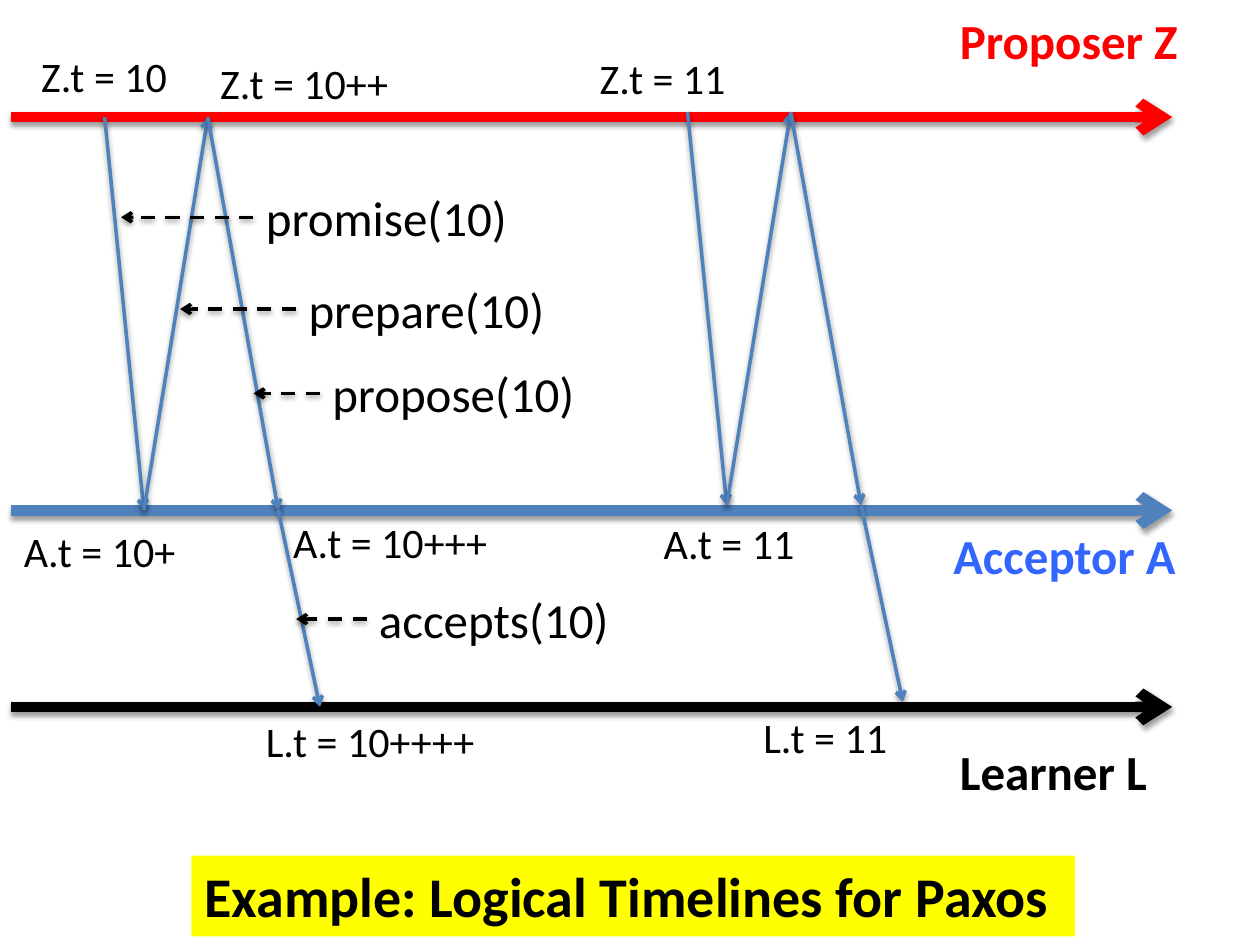
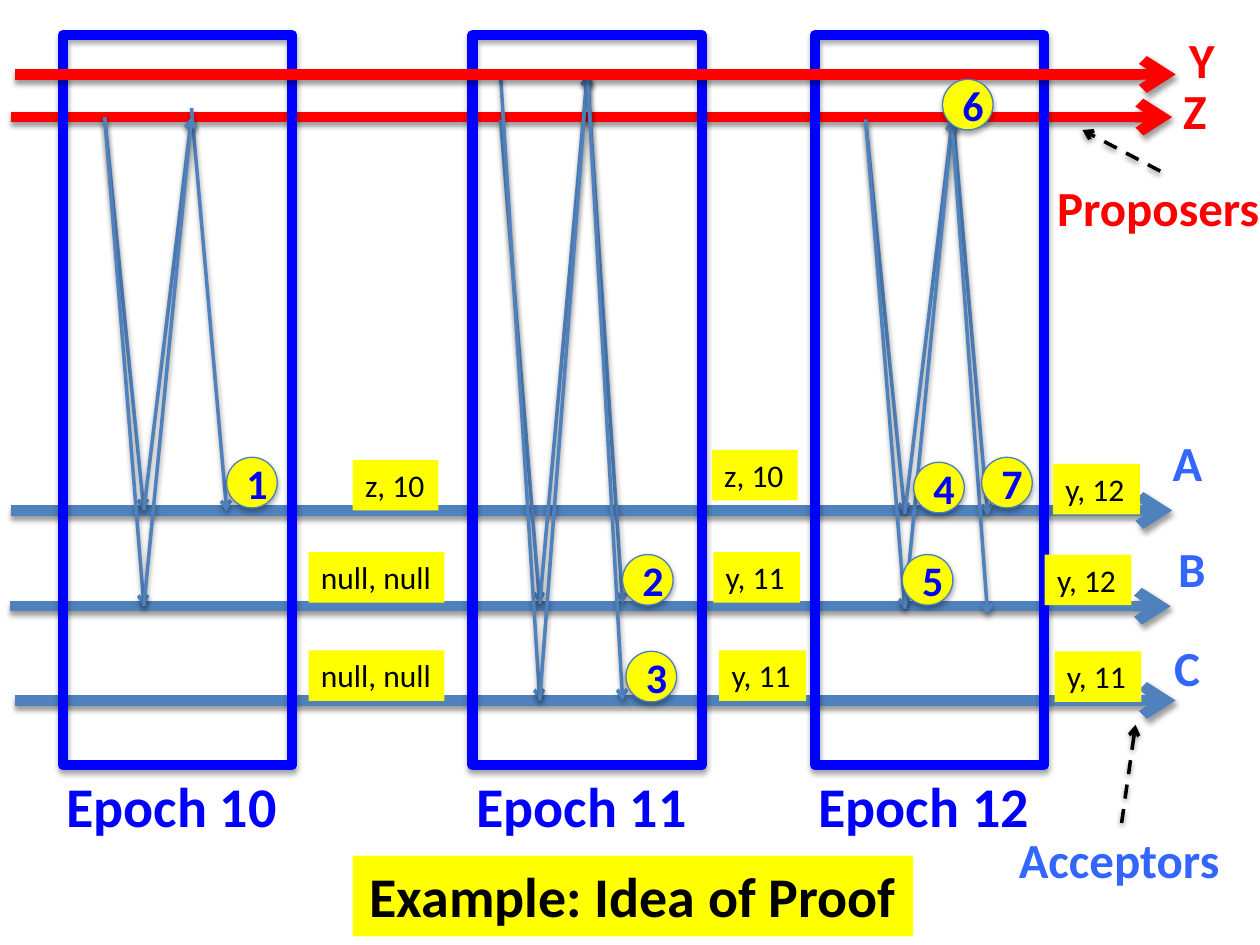
"""Two slides on Paxos: logical timelines and the idea of its proof."""
from dataclasses import dataclass
from itertools import pairwise

from lxml import etree
from pptx import Presentation
from pptx import util as u
from pptx.dml.color import RGBColor
from pptx.enum import dml, shapes, text
from pptx.oxml.ns import qn

FONT = "Calibri"
COLORS = {
    "red": "FF0000", "steel": "4F81BD", "sky": "3366FF", "blue": "0000FF",
    "black": "000000", "yellow": "FFFF00", "rim": "4B7EBC",
}
BOX_HEIGHT = {18: 1.02, 24: 1.27, 28: 1.45, 32: 1.63}  # cm, by text size

# Heights of the timelines, in cm
Y, Z, A, B, C, L = 1.5, 2.36, 10.29, 12.22, 14.12, 14.25


@dataclass
class Label:
    """A one-line text box; left, top and width in cm."""
    words: str
    left: float
    top: float
    width: float
    size: int = 24
    color: str = "black"
    bold: bool = False
    fill: str | None = None
    centred: bool = False


@dataclass
class Arrow:
    """A straight arrow between two points in cm."""
    x1: float
    y1: float
    x2: float
    y2: float
    color: str = "steel"
    weight: float = 2
    dashed: bool = False


@dataclass
class Epoch:
    """A framed epoch; each round gives the heights of its message ends."""
    number: int
    frame_left: float
    shift: float
    rounds: list[tuple[float, ...]]


def rgb(name: str) -> RGBColor:
    """Look up a named colour."""
    return RGBColor.from_string(COLORS[name])


def add_shadow(sp, dist: int, opacity: int) -> None:
    """Give a shape or connector a soft shadow straight below it."""
    props = sp.element.spPr
    effects = props.find(qn("a:effectLst"))
    if effects is None:
        effects = etree.SubElement(props, qn("a:effectLst"))
    shadow = etree.SubElement(effects, qn("a:outerShdw"), blurRad="40000",
                              dist=str(dist), dir="5400000", rotWithShape="0")
    tint = etree.SubElement(shadow, qn("a:srgbClr"), val=COLORS["black"])
    etree.SubElement(tint, qn("a:alpha"), val=str(opacity * 1000))


def draw_arrow(slide, arrow: Arrow) -> None:
    """Draw an arrow with an open head at its end."""
    ends = [u.Cm(v) for v in (arrow.x1, arrow.y1, arrow.x2, arrow.y2)]
    sp = slide.shapes.add_connector(shapes.MSO_CONNECTOR.STRAIGHT, *ends)
    sp.line.color.rgb = rgb(arrow.color)
    sp.line.width = u.Pt(arrow.weight)
    if arrow.dashed:
        sp.line.dash_style = dml.MSO_LINE.DASH
    etree.SubElement(sp.element.spPr.find(qn("a:ln")), qn("a:tailEnd"), type="arrow")
    add_shadow(sp, 20000, 38)


def draw_timeline(slide, y: float, color: str, left: float = 0.23) -> None:
    """Draw a thick horizontal time axis."""
    draw_arrow(slide, Arrow(left, y, left + 23.4, y, color, 6))


def draw_pointer(slide, x1: float, y1: float, x2: float, y2: float) -> None:
    """Draw a dashed black pointer."""
    draw_arrow(slide, Arrow(x1, y1, x2, y2, "black", dashed=True))


def set_text(p, words: str, size: int, color: str, bold: bool) -> None:
    """Fill a paragraph and set its font."""
    p.text = words
    p.font.name, p.font.size, p.font.bold = FONT, u.Pt(size), bold
    p.font.color.rgb = rgb(color)


def draw_label(slide, label: Label) -> None:
    """Draw a one-line label, on a filled box if it has a fill."""
    sp = slide.shapes.add_textbox(u.Cm(label.left), u.Cm(label.top), u.Cm(label.width),
                                  u.Cm(BOX_HEIGHT[label.size]))
    if label.fill:
        sp.fill.solid()
        sp.fill.fore_color.rgb = rgb(label.fill)
    tf = sp.text_frame
    tf.word_wrap = False
    tf.auto_size = text.MSO_AUTO_SIZE.SHAPE_TO_FIT_TEXT
    p = tf.paragraphs[0]
    set_text(p, label.words, label.size, label.color, label.bold)
    if label.centred:
        p.alignment = text.PP_ALIGN.CENTER


def draw_name(slide, words: str, left: float, top: float, width: float, color: str) -> None:
    """Draw the bold name of a role or process."""
    draw_label(slide, Label(words, left, top, width, 28, color, True))


def draw_title(slide, words: str, left: float, width: float) -> None:
    """Draw the yellow title band at the foot of a slide."""
    draw_label(slide, Label(words, left, 17.25, width, 32, bold=True,
                            fill="yellow", centred=True))


def draw_shape(slide, kind, left: float, top: float, width: float, height: float,
               line: str, weight: float):
    """Add an unfilled preset shape with an outline and a shadow."""
    sp = slide.shapes.add_shape(kind, u.Cm(left), u.Cm(top), u.Cm(width), u.Cm(height))
    sp.fill.background()
    sp.line.color.rgb = rgb(line)
    sp.line.width = u.Pt(weight)
    sp.shadow.inherit = False
    add_shadow(sp, 23000, 35)
    return sp


def draw_step(slide, number: int, left: float, top: float) -> None:
    """Draw a numbered yellow disc."""
    sp = draw_shape(slide, shapes.MSO_SHAPE.OVAL, left, top, 1.02, 1.02, "rim", 0.75)
    sp.fill.solid()
    sp.fill.fore_color.rgb = rgb("yellow")
    sp.text_frame.vertical_anchor = text.MSO_ANCHOR.MIDDLE
    p = sp.text_frame.paragraphs[0]
    set_text(p, str(number), 24, "blue", True)
    p.alignment = text.PP_ALIGN.CENTER


def draw_messages(slide, epoch: Epoch) -> None:
    """Draw each round: request, reply and, where there is one, proposal."""
    ask, reach, back, end = (x + epoch.shift for x in (2.11, 2.9, 3.86, 4.57))
    spans = [(ask, reach), (reach, back), (back, end)]
    for heights in epoch.rounds:
        legs = zip(heights[::2], heights[1::2])
        for (x1, x2), (y1, y2) in zip(spans, legs):
            draw_arrow(slide, Arrow(x1, y1, x2, y2))


def build_timelines(slide) -> None:
    """Build the slide with logical timelines."""
    for y, color in [(Z, "red"), (A, "steel"), (L, "black")]:
        draw_timeline(slide, y, color)

    journey = [(2.11, Z), (2.9, A), (4.19, Z), (5.61, A), (6.45, L)]
    for dx, dy in [(0, 0), (11.75, -0.1)]:
        for (x1, y1), (x2, y2) in pairwise(journey):
            draw_arrow(slide, Arrow(x1 + dx, y1 + dy, x2 + dx, y2 + dy))

    for words, left, top, width, target in [
        ("promise(10)", 5.11, 3.66, 5.44, 2.44),
        ("prepare(10)", 5.97, 5.51, 5.33, 3.63),
        ("propose(10)", 6.45, 7.21, 5.46, 5.11),
        ("accepts(10)", 7.39, 11.76, 5.21, 5.97),
    ]:
        draw_label(slide, Label(words, left, top, width, 28))
        draw_pointer(slide, left, top + 0.72, target, top + 0.72)

    for stamp in [
        Label("Z.t = 10", 0.58, 0.89, 3.1),
        Label("A.t = 10+", 0.23, 10.46, 3.61),
        Label("Z.t = 10++", 4.19, 1.04, 3.94),
        Label("A.t = 10+++", 5.66, 10.29, 4.47),
        Label("L.t = 10++++", 5.11, 14.3, 4.75),
        Label("Z.t = 11", 11.84, 0.94, 3.1),
        Label("A.t = 11", 13.13, 10.31, 3.2),
        Label("L.t = 11", 15.14, 14.22, 3.05),
    ]:
        draw_label(slide, stamp)

    draw_name(slide, "Proposer Z", 19.1, 0.08, 4.98, "red")
    draw_name(slide, "Acceptor A", 18.97, 10.46, 5.08, "sky")
    draw_name(slide, "Learner L", 19.1, 14.83, 4.32, "black")
    draw_title(slide, "Example: Logical Timelines for Paxos ", 3.86, 17.81)


def build_proof(slide) -> None:
    """Build the slide with the idea of the proof."""
    for y, color, left in [(Z, "red", 0.23), (A, "steel", 0.23),
                           (B, "steel", 0.2), (C, "steel", 0.3)]:
        draw_timeline(slide, y, color, left)

    epochs = [
        Epoch(10, 1.27, 0, [(Z, A, A, Z, 2.18, 10.31), (Z, B, B, Z)]),
        Epoch(11, 9.53, 7.98, [(2.41, 12.17, 12.17, Y, Y, 12.17), (Y, C, C, Y, Y, C)]),
        Epoch(12, 16.43, 15.34, [(2.41, 10.36, 10.36, 2.41, 2.24, 10.39),
                                 (2.41, 12.29, 12.27, 2.41, 2.62, 12.4)]),
    ]
    for epoch in epochs:
        draw_messages(slide, epoch)
        draw_shape(slide, shapes.MSO_SHAPE.RECTANGLE, epoch.frame_left, 0.71,
                   4.62, 14.71, "blue", 6)
        draw_label(slide, Label(f"Epoch {epoch.number}", epoch.frame_left - 0.18, 15.42,
                                4.8, 32, "blue", True))
    draw_timeline(slide, Y, "red", 0.3)

    for name in [
        ("Y", 23.72, 0.48, 1.09, "red"),
        ("Z", 23.6, 1.5, 1, "red"),
        ("Proposers", 21.06, 3.45, 4.65, "red"),
        ("A", 23.39, 8.59, 1.12, "sky"),
        ("B", 23.5, 10.74, 1.07, "sky"),
        ("C", 23.42, 12.73, 1.04, "sky"),
        ("Acceptors", 20.29, 16.59, 4.62, "sky"),
    ]:
        draw_name(slide, *name)
    draw_pointer(slide, 23.39, 3.45, 21.82, 2.62)
    draw_pointer(slide, 22.61, 16.59, 22.89, 14.61)

    steps = [(4.57, 9.22), (12.55, 11.18), (12.62, 13.13), (18.42, 9.32),
             (18.19, 11.18), (19, 1.6), (19.79, 9.22)]
    for number, (left, top) in enumerate(steps, 1):
        draw_step(slide, number, left, top)

    for words, left, top, width in [
        ("z, 10", 7.11, 9.27, 1.73),
        ("null, null", 6.22, 11.13, 2.74),
        ("null, null", 6.22, 13.11, 2.74),
        ("z, 10", 14.35, 9.07, 1.73),
        ("y, 11", 14.38, 11.13, 1.75),
        ("y, 11", 14.5, 13.11, 1.75),
        ("y, 12", 21.23, 9.35, 1.75),
        ("y, 12", 21.06, 11.18, 1.75),
        ("y, 11", 21.26, 13.13, 1.75),
    ]:
        draw_label(slide, Label(words, left, top, width, 18, fill="yellow"))
    draw_title(slide, "Example: Idea of Proof", 7.11, 11.3)


prs = Presentation()
prs.slide_width, prs.slide_height = u.Cm(25.4), u.Cm(19.05)
for build in (build_timelines, build_proof):
    build(prs.slides.add_slide(prs.slide_layouts[6]))
prs.save("out.pptx")
